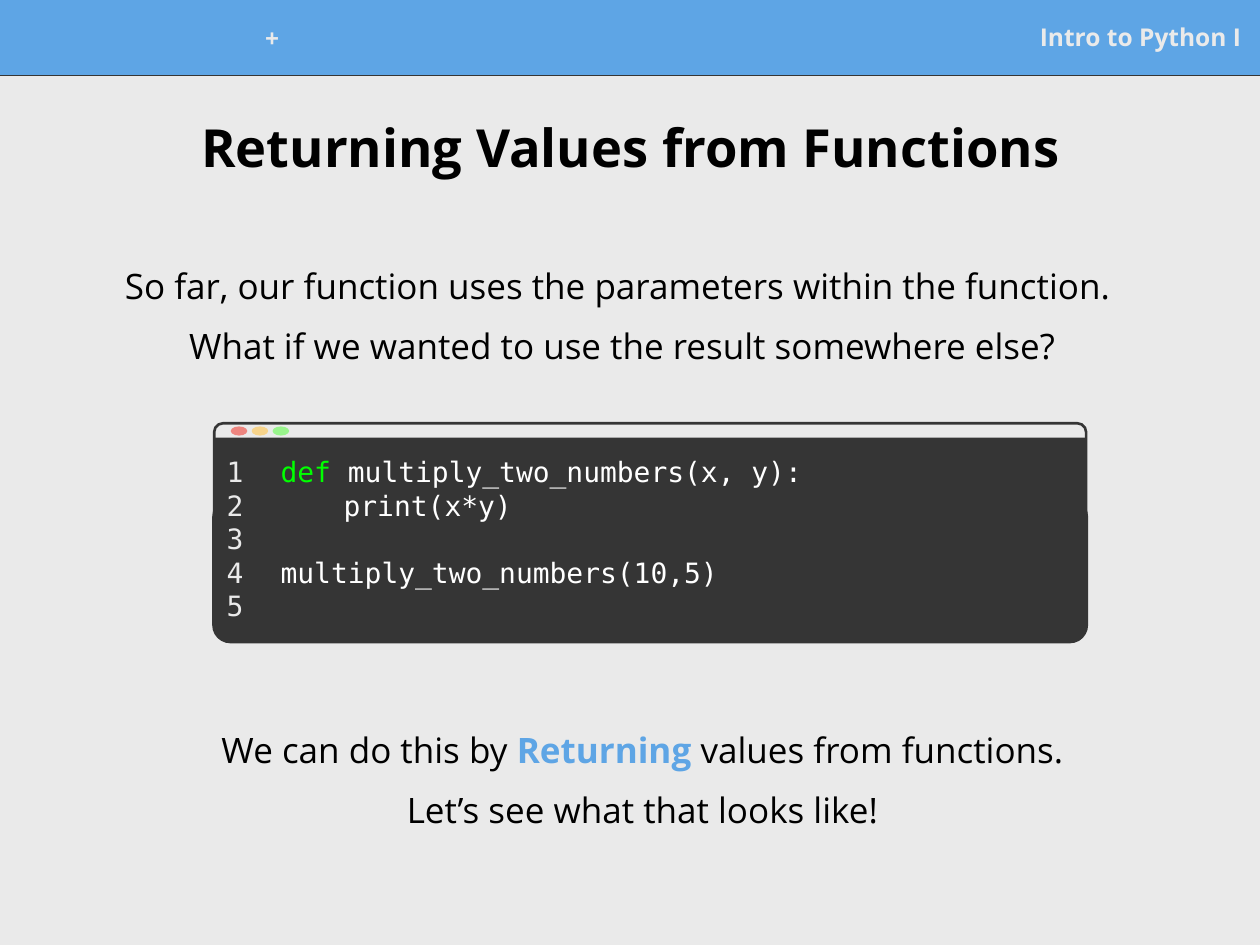
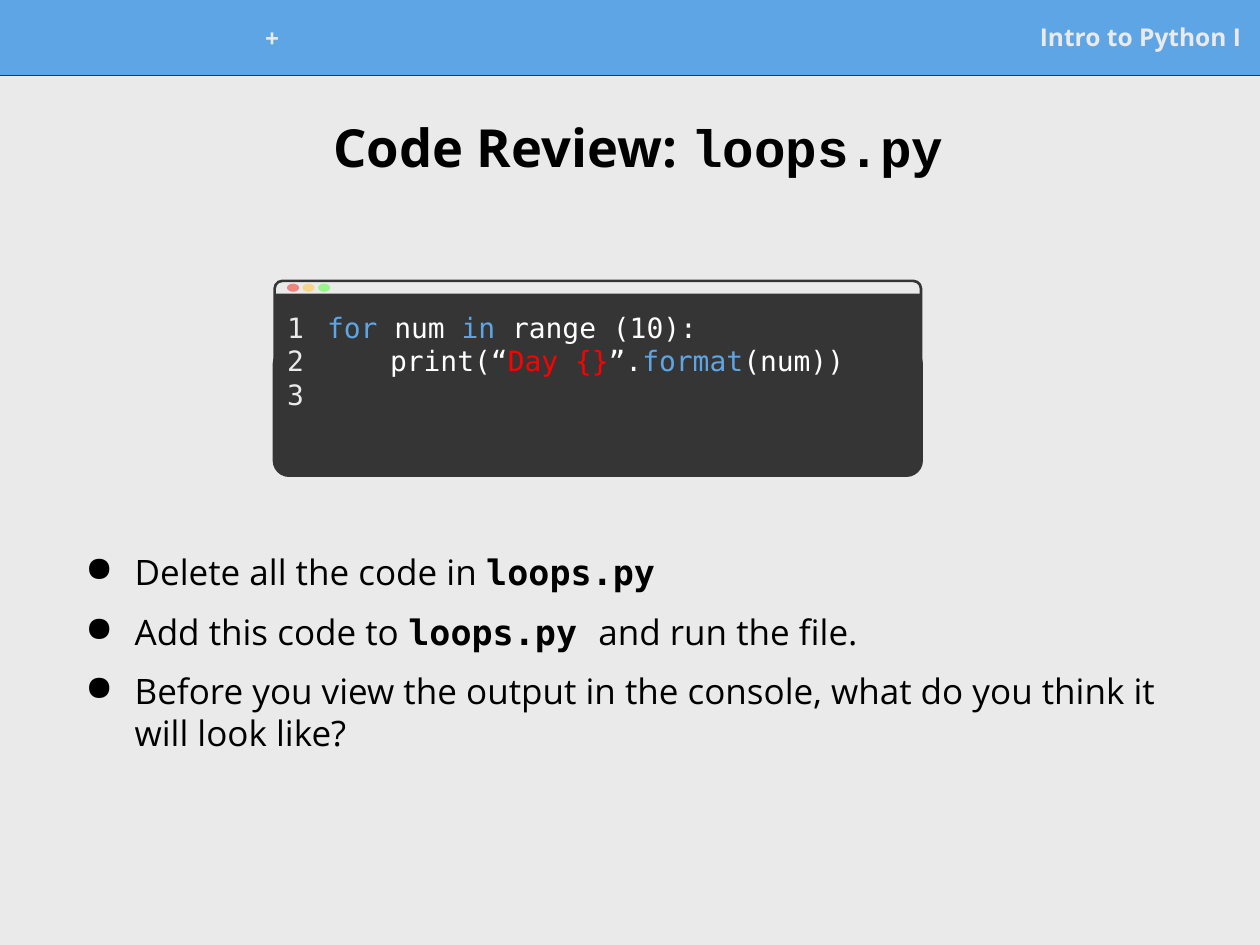
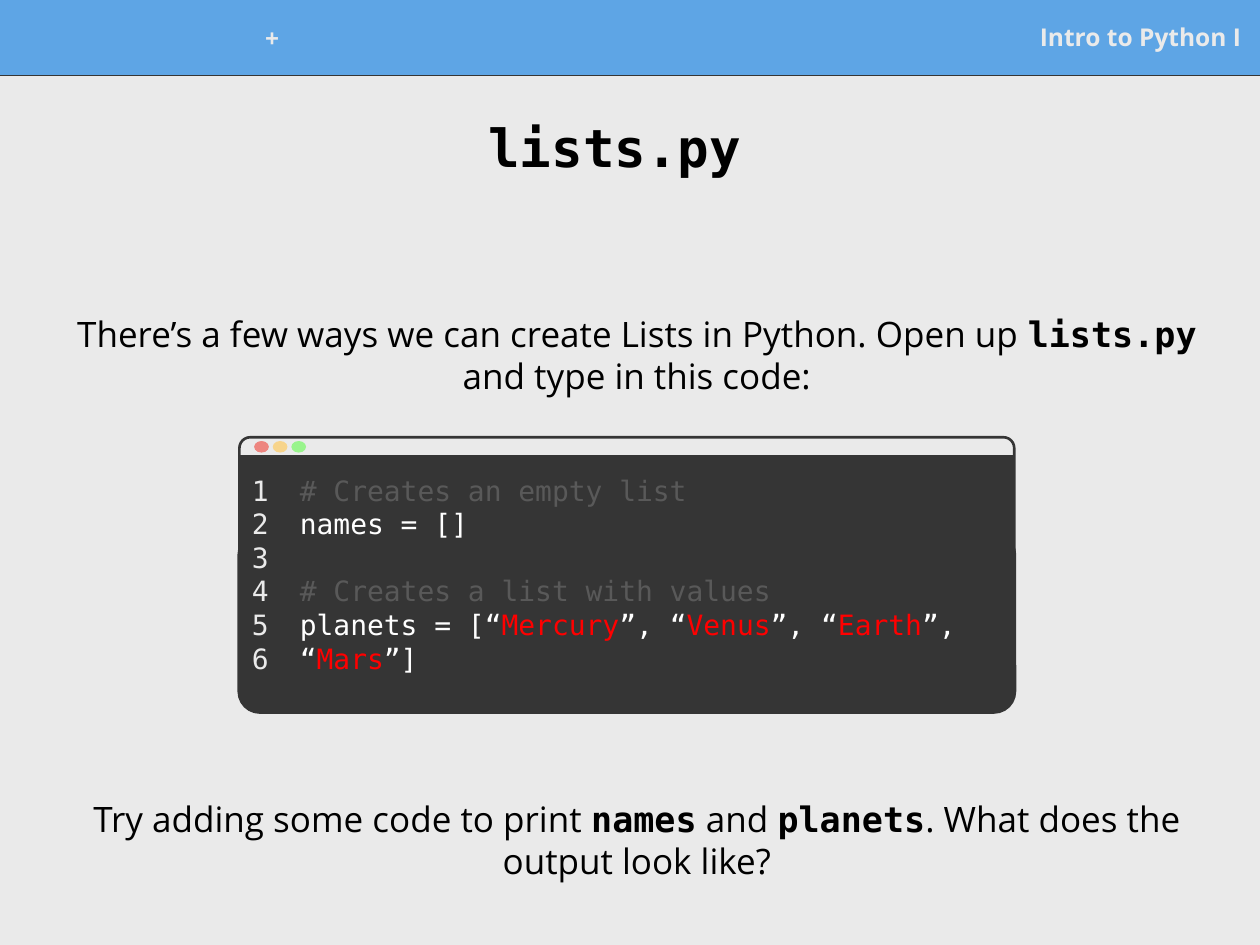
from lxml.etree import SubElement
from pptx import Presentation
from pptx.dml.color import RGBColor
from pptx.enum.shapes import MSO_CONNECTOR as LINK, MSO_SHAPE as SHAPE
from pptx.enum.text import MSO_ANCHOR as ANCHOR, PP_ALIGN as ALIGN
from pptx.oxml.ns import qn
from pptx.util import Pt

PX = 9144  # EMU in one px, 100 px to the inch
WIDE, HIGH, BAND = 1000, 750, 59
PAD = 10

PAPER = RGBColor(0xEA, 0xEA, 0xEA)
BLUE = RGBColor(0x5E, 0xA5, 0xE5)
DARK = RGBColor(0x35, 0x35, 0x35)
BLACK = RGBColor(0, 0, 0)
WHITE = RGBColor(0xFF, 0xFF, 0xFF)
GREEN = RGBColor(0, 0xFF, 0)
RED = RGBColor(0xFF, 0, 0)
GRAY = RGBColor(0x59, 0x59, 0x59)
DOTS = [RGBColor(0xED, 0x85, 0x7F), RGBColor(0xF7, 0xD4, 0x8B),
        RGBColor(0x99, 0xF4, 0x8C)]

SANS, MONO, COURIER = "Open Sans", "DejaVu Sans Mono", "Courier New"

# Style name: font, colour, bold
STYLES = {
    "text": (SANS, BLACK, False),
    "bold": (SANS, BLACK, True),
    "term": (SANS, BLUE, True),
    "head": (SANS, PAPER, True),
    "name": (MONO, BLACK, True),
    "file": (COURIER, BLACK, True),
    "num": (MONO, PAPER, False),
    "code": (MONO, WHITE, False),
    "def": (MONO, GREEN, False),
    "key": (MONO, BLUE, False),
    "str": (MONO, RED, False),
    "note": (MONO, GRAY, False),
}

# A line is a list of (text, style) runs; boxes are left, top, width, height.
SLIDES = [
    {
        "title": [("Returning Values from Functions", "bold")],
        "left": 18,
        "texts": [
            ((57, 505, 906, 227), False, [
                [("We can do this by ", "text"), ("Returning", "term"),
                 (" values from functions.", "text")],
                [("Let’s see what that looks like!", "text")]]),
            ((41, 137, 906, 227), False, [
                [("So far, our function uses the parameters within the function. ",
                  "text")],
                [("What if we wanted to use the result somewhere else?", "text")]]),
        ],
        "window": (170, 336, 692, 173),
        "count": 5,
        "code": [
            [("def", "def"), (" multiply_two_numbers(x, y):", "code")],
            [("\tprint(x*y)", "code")],
            [],
            [("multiply_two_numbers(10,5)", "code")],
        ],
    },
    {
        "title": [("Code Review: ", "bold"), ("loops.py", "file")],
        "left": 24,
        "texts": [
            ((47, 393, 887, 249), True, [
                [("Delete all the code in ", "text"), ("loops.py", "name")],
                [("Add this code to ", "text"), ("loops.py ", "name"),
                 ("and run the file.", "text")],
                [("Before you view the output in the console, what do you "
                  "think it will look like?", "text")]]),
        ],
        "window": (218, 223, 513, 154),
        "count": 3,
        "code": [
            [("for ", "key"), ("num ", "code"), ("in", "key"),
             (" range (10):", "code")],
            [("\tprint(“", "code"), ("Day {}", "str"), ("”.", "code"),
             ("format", "key"), ("(num))", "code")],
        ],
    },
    {
        "title": [("lists.py ", "name")],
        "left": 18,
        "texts": [
            ((41, 183, 929, 197), False, [
                [("There’s a few ways we can create Lists in Python. Open up ",
                  "text"), ("lists.py", "name"),
                 (" and type in this code:", "text")]]),
            ((41, 593, 929, 146), False, [
                [("Try adding some code to print ", "text"), ("names", "name"),
                 (" and ", "text"), ("planets", "name"),
                 (". What does the output look like?", "text")]]),
        ],
        "window": (190, 347, 615, 218),
        "count": 6,
        "code": [
            [("# Creates an empty list", "note")],
            [("names = []", "code")],
            [],
            [("# Creates a list with values", "note")],
            [("planets = [“", "code"), ("Mercury", "str"), ("”, “", "code"),
             ("Venus", "str"), ("”, “", "code"), ("Earth", "str"),
             ("”, “", "code"), ("Mars", "str"), ("”]", "code")],
        ],
    },
]


def emu(*sizes):
    return [round(size * PX) for size in sizes]


def add_text(slide, box, lines, size, align=ALIGN.LEFT, anchor=ANCHOR.MIDDLE):
    frame = slide.shapes.add_textbox(*emu(*box)).text_frame
    frame.word_wrap = True
    frame.vertical_anchor = anchor
    frame.margin_left = frame.margin_right = PAD * PX
    frame.margin_top = frame.margin_bottom = PAD * PX
    for i, line in enumerate(lines):
        para = frame.add_paragraph() if i else frame.paragraphs[0]
        para.alignment = align
        for words, style in line:
            run = para.add_run()
            run.text = words
            font = run.font
            font.size = Pt(size)
            font.name, font.color.rgb, font.bold = STYLES[style]
        if not line:  # an empty code line keeps the height of the others
            end = SubElement(para._p, qn("a:endParaRPr"), sz=str(size * 100))
            SubElement(end, qn("a:latin"), typeface=MONO)
    return frame.paragraphs


def add_bullet(para):
    props = para._p.get_or_add_pPr()
    left, hang = emu(50, -39)
    props.set("marL", str(left))
    props.set("indent", str(hang))
    tint = SubElement(props, qn("a:buClr"))
    SubElement(tint, qn("a:srgbClr"), val=str(BLACK))
    SubElement(props, qn("a:buChar"), char="●")


def add_body(slide, box, listed, lines):
    align = ALIGN.LEFT if listed else ALIGN.CENTER
    paras = add_text(slide, box, lines, 20, align)
    for i, para in enumerate(paras):
        if listed:
            add_bullet(para)
        if i:
            para.space_before = Pt(10)
    paras[-1].space_after = Pt(10)


def add_shape(slide, kind, box, fill=None, line=None, weight=1, adj=None):
    shape = slide.shapes.add_shape(kind, *emu(*box))
    shape.shadow.inherit = False
    if adj is not None:
        shape.adjustments[0] = adj
    if fill is None:
        shape.fill.background()
    else:
        shape.fill.solid()
        shape.fill.fore_color.rgb = fill
    if line is None:
        shape.line.fill.background()
    else:
        shape.line.color.rgb = line
        shape.line.width = Pt(weight)


def add_header(slide):
    rule = slide.shapes.add_connector(LINK.STRAIGHT, *emu(0, BAND, WIDE, BAND))
    rule.line.color.rgb = DARK
    rule.line.width = Pt(1.5)
    SubElement(rule._element.spPr, qn("a:effectLst"))
    add_shape(slide, SHAPE.RECTANGLE, (0, 0, WIDE, BAND), BLUE, BLUE, 0.75)
    add_text(slide, (624, 10, 371, 38), [[("Intro to Python I", "head")]],
             14, ALIGN.RIGHT)
    add_text(slide, (186, 11, 60, 38), [[("+", "head")]], 14, ALIGN.CENTER)


def add_window(slide, box, count, code):
    """Draw a code window whose parts all scale with its box."""
    x, y, w, h = box
    add_shape(slide, SHAPE.ROUNDED_RECTANGLE, (x, y, w, 0.72 * h),
              line=DARK, weight=1.5, adj=0.055)
    add_shape(slide, SHAPE.RECTANGLE, (x, y + 0.065 * h, w, 0.865 * h), DARK)
    add_shape(slide, SHAPE.ROUNDED_RECTANGLE,
              (x, y + 0.353 * h, w, 0.647 * h), DARK, DARK, 2.25, 0.115)
    for i, tint in enumerate(DOTS):
        left = x + (0.019 + 0.024 * i) * w
        add_shape(slide, SHAPE.OVAL,
                  (left, y + 0.014 * h, 0.019 * w, 0.042 * h), tint)
    top = y + 0.085 * h
    nums = [[(str(n), "num")] for n in range(1, count + 1)]
    add_text(slide, (x, top, 0.097 * w, 145), nums, 16, anchor=ANCHOR.TOP)
    add_text(slide, (x + 0.062 * w, top, w, 145), code, 16, anchor=ANCHOR.TOP)


def main():
    deck = Presentation()
    deck.slide_width, deck.slide_height = emu(WIDE, HIGH)
    for page in SLIDES:
        slide = deck.slides.add_slide(deck.slide_layouts[6])
        slide.background.fill.solid()
        slide.background.fill.fore_color.rgb = PAPER
        add_header(slide)
        add_text(slide, (page["left"], 71, 965, 90), [page["title"]], 30,
                 ALIGN.CENTER)
        for box, listed, lines in page["texts"]:
            add_body(slide, box, listed, lines)
        add_window(slide, page["window"], page["count"], page["code"])
    deck.save("out.pptx")


if __name__ == "__main__":
    main()
